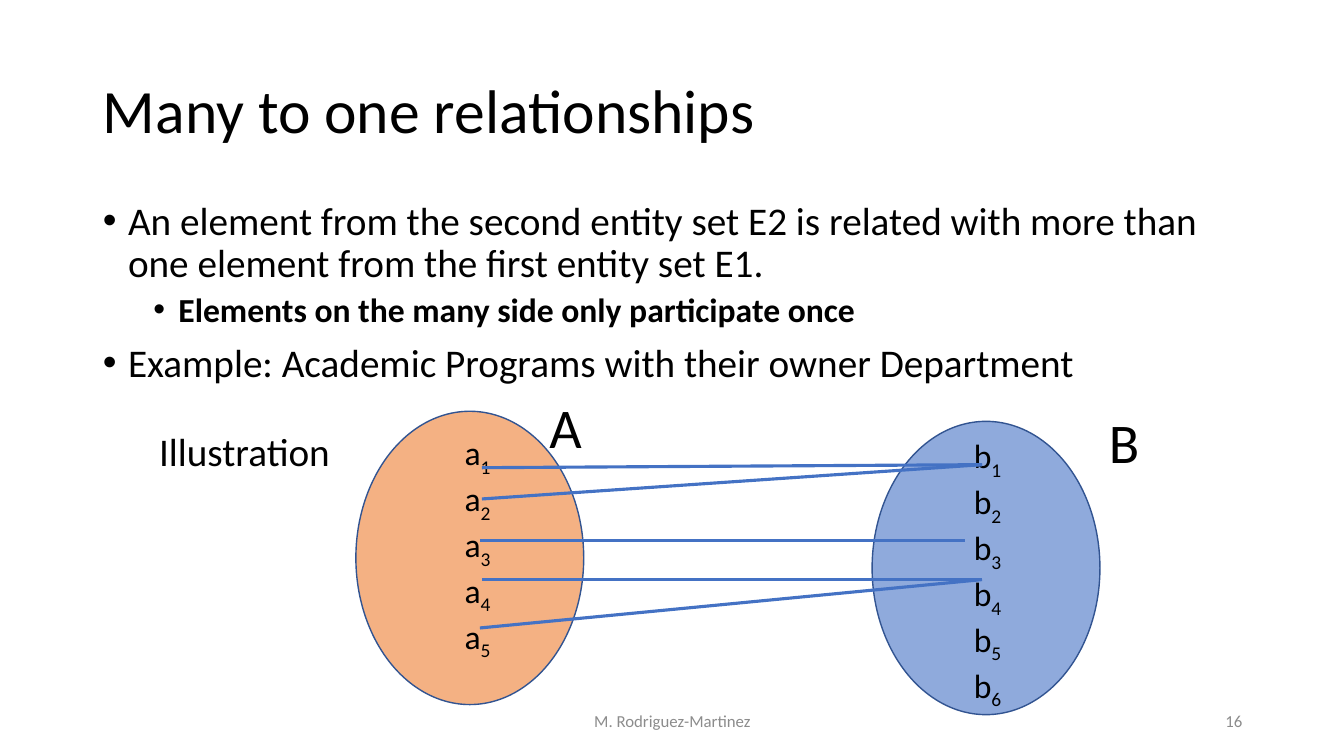
from lxml.etree import SubElement
from pptx import Presentation
from pptx.dml.color import RGBColor
from pptx.enum.shapes import MSO_CONNECTOR as CONNECTOR, MSO_SHAPE as SHAPE
from pptx.enum.text import MSO_ANCHOR as ANCHOR, MSO_AUTO_SIZE as AUTO_SIZE, PP_ALIGN as ALIGN
from pptx.oxml.ns import qn
from pptx.util import Inches, Pt

FONT = "Calibri"
COLORS = {
    "background": "FFFFFF",
    "text": "000000",
    "footer": "8C8C8C",
    "set_a": "F4B183",
    "set_b": "8FAADC",
    "outline": "325491",
    "relation": "4472C4",
}
BULLETS = [
    (0, "An element from the second entity set E2 is related with more than "
        "one element from the first entity set E1."),
    (1, "Elements on the many side only participate once"),
    (0, "Example: Academic Programs with their owner Department"),
]
RELATIONS = [
    ((4.78, 4.64), (9.74, 4.61)),
    ((4.78, 5.75), (9.74, 5.75)),
    ((4.76, 6.23), (9.74, 5.75)),
    ((4.78, 4.95), (9.74, 4.61)),
    ((4.76, 5.36), (9.57, 5.36)),
]


def color(name):
    return RGBColor.from_string(COLORS[name])


def place(shape, left, top, width, height):
    shape.left, shape.top = Inches(left), Inches(top)
    shape.width, shape.height = Inches(width), Inches(height)


def add_run(paragraph, text, size, color_name="text", bold=False):
    run = paragraph.add_run()
    run.text = text
    run.font.name = FONT
    run.font.size = Pt(size)
    run.font.bold = bold
    run.font.color.rgb = color(color_name)
    return run


def set_bullet(paragraph, left):
    properties = paragraph._p.get_or_add_pPr()
    properties.set("marL", str(Inches(left)))
    properties.set("indent", str(Inches(-0.25)))
    SubElement(properties, qn("a:buFont"), typeface="Arial")
    SubElement(properties, qn("a:buChar"), char="•")


def fill_title(slide, text):
    title = slide.shapes.title
    place(title, 0.92, 0.4, 11.5, 1.45)
    frame = title.text_frame
    frame.auto_size = AUTO_SIZE.NONE
    frame.vertical_anchor = ANCHOR.MIDDLE
    paragraph = frame.paragraphs[0]
    paragraph.alignment = ALIGN.LEFT
    paragraph.line_spacing = 0.9
    add_run(paragraph, text, 44)


def fill_body(slide):
    body = slide.placeholders[1]
    place(body, 0.92, 1.95, 11.5, 4.76)
    frame = body.text_frame
    frame.auto_size = AUTO_SIZE.NONE
    for index, (level, text) in enumerate(BULLETS):
        paragraph = frame.add_paragraph() if index else frame.paragraphs[0]
        paragraph.level = level
        paragraph.line_spacing = 0.9
        paragraph.space_before = Pt(5 if level else 10)
        set_bullet(paragraph, 0.25 + 0.5 * level)
        add_run(paragraph, text, 24 if level else 28, bold=level == 1)


def add_text_box(slide, left, top, width, height, wrap=False):
    box = slide.shapes.add_textbox(Inches(left), Inches(top), Inches(width), Inches(height))
    box.text_frame.word_wrap = wrap
    return box.text_frame


def add_label(slide, text, size, *bounds):
    frame = add_text_box(slide, *bounds)
    frame.auto_size = AUTO_SIZE.SHAPE_TO_FIT_TEXT
    add_run(frame.paragraphs[0], text, size)


def add_footer(slide, text, left, width, alignment):
    frame = add_text_box(slide, left, 6.95, width, 0.4, wrap=True)
    frame.vertical_anchor = ANCHOR.MIDDLE
    frame.paragraphs[0].alignment = alignment
    add_run(frame.paragraphs[0], text, 12, "footer")


def add_entity_set(slide, left, top, fill_name):
    ellipse = slide.shapes.add_shape(
        SHAPE.OVAL, Inches(left), Inches(top), Inches(2.26), Inches(2.91))
    ellipse.shadow.inherit = False
    ellipse.fill.solid()
    ellipse.fill.fore_color.rgb = color(fill_name)
    ellipse.line.color.rgb = color("outline")
    ellipse.line.width = Pt(1)


def add_elements(slide, letter, count, *bounds):
    frame = add_text_box(slide, *bounds)
    frame.auto_size = AUTO_SIZE.SHAPE_TO_FIT_TEXT
    for number in range(1, count + 1):
        paragraph = frame.paragraphs[0] if number == 1 else frame.add_paragraph()
        add_run(paragraph, letter, 24)
        subscript = add_run(paragraph, str(number), 24)
        subscript.font._element.set("baseline", "-25000")


def add_relation(slide, start, end):
    points = [Inches(value) for value in start + end]
    connector = slide.shapes.add_connector(CONNECTOR.STRAIGHT, *points)
    connector.line.color.rgb = color("relation")
    connector.line.width = Pt(2.25)
    SubElement(connector._element.spPr, qn("a:effectLst"))


def main():
    presentation = Presentation()
    presentation.slide_width = Inches(13.33)
    presentation.slide_height = Inches(7.5)
    slide = presentation.slides.add_slide(presentation.slide_layouts[1])
    slide.background.fill.solid()
    slide.background.fill.fore_color.rgb = color("background")

    fill_title(slide, "Many to one relationships")
    fill_body(slide)
    add_footer(slide, "M. Rodriguez-Martinez", 4.42, 4.5, ALIGN.CENTER)
    add_footer(slide, "16", 9.42, 3, ALIGN.RIGHT)
    add_entity_set(slide, 3.53, 4.08, "set_a")
    add_entity_set(slide, 8.65, 4.18, "set_b")
    add_label(slide, "Illustration", 28, 1.48, 4.19, 1.91, 0.57)
    add_label(slide, "A", 40, 5.35, 3.84, 0.53, 0.77)
    add_label(slide, "B", 40, 10.9, 3.99, 0.53, 0.77)
    add_elements(slide, "a", 5, 4.51, 4.24, 0.48, 2.93)
    add_elements(slide, "b", 6, 9.56, 4.27, 0.5, 4.01)
    for start, end in RELATIONS:
        add_relation(slide, start, end)

    presentation.save("out.pptx")


if __name__ == "__main__":
    main()
